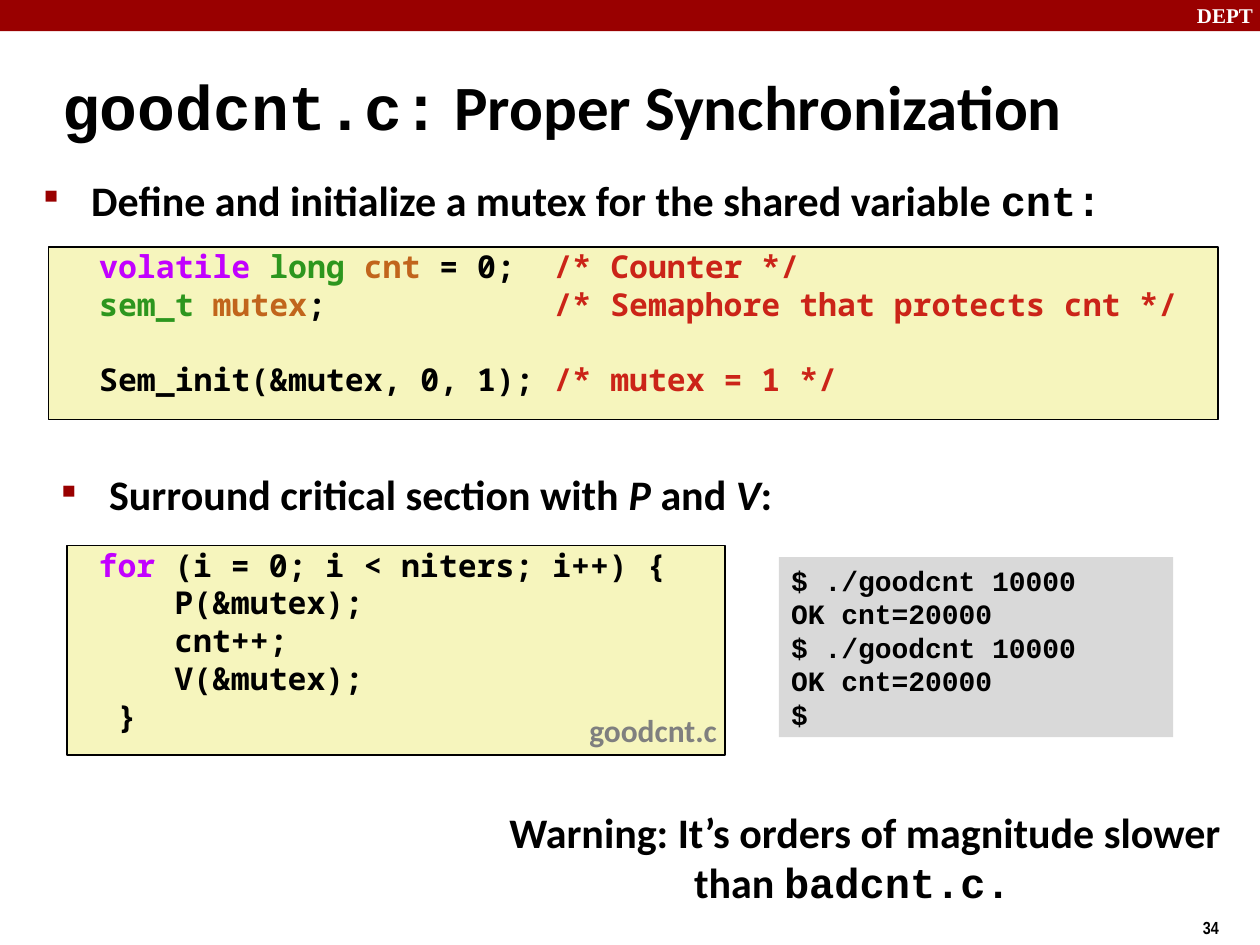
from lxml import etree
from pptx import Presentation
from pptx.dml.color import RGBColor
from pptx.enum.shapes import MSO_SHAPE
from pptx.enum.text import MSO_ANCHOR, PP_ALIGN
from pptx.oxml.ns import qn
from pptx.util import Cm, Pt

RECTANGLE = MSO_SHAPE.RECTANGLE
TOP, MIDDLE = MSO_ANCHOR.TOP, MSO_ANCHOR.MIDDLE
LEFT, CENTER = PP_ALIGN.LEFT, PP_ALIGN.CENTER
BODY, MONO, CODE = "Calibri", "Courier New", "Noto Sans Mono"

COLORS = {
    "black": "000000", "white": "FFFFFF", "accent": "990000",
    "code_fill": "F6F5BD", "shell_fill": "D9D9D9", "label": "7F7F7F",
    "keyword": "C200FF", "type": "2D961E", "name": "C1651C", "comment": "CB2418",
}

# Content: each text is a list of lines, each line a list of (text, format) runs
TITLE = [[("goodcnt.c:", {"font": MONO}), (" Proper Synchronization", {})]]
DEFINE = [[("Define and initialize a mutex for the shared variable ", {}),
           ("cnt:", {"font": MONO})]]
SURROUND = [[("Surround critical section with ", {}), ("P", {"italic": True}),
             (" and ", {}), ("V", {"italic": True}), (":", {})]]
DECLARATIONS = [
    [("volatile ", {"color": "keyword"}), ("long ", {"color": "type"}),
     ("cnt", {"color": "name"}), (" = 0;\t", {}),
     ("/* Counter */", {"color": "comment"})],
    [("sem_t ", {"color": "type"}), ("mutex", {"color": "name"}), (";\t", {}),
     ("/* Semaphore that protects cnt */", {"color": "comment"})],
    [("Sem_init(&mutex, 0, 1);\t", {}), ("/* mutex = 1 */", {"color": "comment"})],
]
LOOP = [
    [("for", {"color": "keyword"}), (" (i = 0; i < niters; i++) {", {})],
    [("    P(&mutex);", {})],
    [("    cnt++;", {})],
    [("    V(&mutex);", {})],
    [(" }", {})],
]
SHELL = [[(line, {})] for line in (
    "$ ./goodcnt 10000", "OK cnt=20000", "$ ./goodcnt 10000", "OK cnt=20000", "$")]
WARNING = [[("Warning: It’s orders of magnitude slower than ", {}),
            ("badcnt.c. ", {"font": MONO})]]


def rgb(name):
    return RGBColor.from_string(COLORS[name])


def write(holder, lines, size=24, font=BODY, color="black", align=LEFT, anchor=TOP,
          wrap=True, inset=(0.25, 0.13), before=0):
    """Fill a shape with bold text; inset is the left and the top/bottom margin."""
    frame = holder.text_frame
    frame.word_wrap, frame.vertical_anchor = wrap, anchor
    frame.margin_left, frame.margin_right = Cm(inset[0]), Cm(0.25)
    frame.margin_top = frame.margin_bottom = Cm(inset[1])
    for number, line in enumerate(lines):
        paragraph = frame.add_paragraph() if number else frame.paragraphs[0]
        paragraph.alignment, paragraph.space_before = align, Pt(before)
        for text, style in line:
            run = paragraph.add_run()
            run.text = text
            run.font.size, run.font.bold = Pt(size), True
            run.font.name = style.get("font", font)
            run.font.italic = style.get("italic", False)
            run.font.color.rgb = rgb(style.get("color", color))
    return frame.paragraphs


def text_box(slide, box, lines, **style):
    return write(slide.shapes.add_textbox(*map(Cm, box)), lines, **style)


def panel(slide, box, fill, outline=None):
    shape = slide.shapes.add_shape(RECTANGLE, *map(Cm, box))
    shape.shadow.inherit = False
    shape.fill.solid()
    shape.fill.fore_color.rgb = rgb(fill)
    if outline:
        shape.line.color.rgb = rgb(outline)
        shape.line.width = Pt(1)
    else:
        shape.line.fill.background()
    return shape


def bullet(slide, box, lines):
    paragraph = text_box(slide, box, lines, before=4.8)[0]
    props = paragraph._p.get_or_add_pPr()
    props.set("marL", str(Cm(0.95)))
    props.set("indent", str(-Cm(0.95)))
    color = etree.SubElement(props, qn("a:buClr"))
    etree.SubElement(color, qn("a:srgbClr"), val=COLORS["accent"])
    etree.SubElement(props, qn("a:buSzPct"), val="45000")
    etree.SubElement(props, qn("a:buChar"), char="■")


def add_tab(paragraph, position):
    tabs = etree.SubElement(paragraph._p.get_or_add_pPr(), qn("a:tabLst"))
    etree.SubElement(tabs, qn("a:tab"), pos=str(Cm(position)), algn="l")


def main():
    deck = Presentation()
    deck.slide_width, deck.slide_height = Cm(25.4), Cm(19.05)
    slide = deck.slides.add_slide(deck.slide_layouts[5])

    # Header band and page number
    panel(slide, (0, 0, 25.4, 0.63), "accent")
    text_box(slide, (23.88, -0.08, 1.7, 0.76), [[("DEPT", {})]],
             size=12, font="Times New Roman", color="white", wrap=False)
    text_box(slide, (24, 18.36, 1.9, 0.74), [[("34", {})]],
             size=10, font="Arial Narrow", wrap=False)

    # Title
    title = slide.shapes.title
    title.left, title.top, title.width, title.height = map(Cm, (1, 1.07, 21.08, 2.1))
    write(title, TITLE, size=36, anchor=MIDDLE)

    # Mutex declaration, with comments aligned at a tab stop
    bullet(slide, (0.64, 3.38, 23.06, 1.27), DEFINE)
    declarations = write(panel(slide, (0.98, 4.98, 23.57, 3.48), "code_fill", "black"),
                         DECLARATIONS, size=18, font=CODE, inset=(1.02, 0))
    for line in declarations:
        add_tab(line, 9.16)
    declarations[-1].space_before = Pt(21.4)

    # Critical section
    bullet(slide, (1, 9.32, 23.06, 1.27), SURROUND)
    write(panel(slide, (1.35, 11, 13.26, 4.22), "code_fill", "black"),
          LOOP, size=18, font=CODE, inset=(0.64, 0))

    # Program output
    write(panel(slide, (15.7, 11.23, 7.95, 3.63), "shell_fill"),
          SHELL, size=16, font=MONO, anchor=MIDDLE, wrap=False)

    # Warning and file label
    text_box(slide, (9.96, 16.13, 14.96, 2.29), WARNING, align=CENTER)
    text_box(slide, (11.63, 14.2, 3.4, 1.02), [[("goodcnt.c", {})]],
             size=18, color="label")

    deck.save("out.pptx")


if __name__ == "__main__":
    main()
